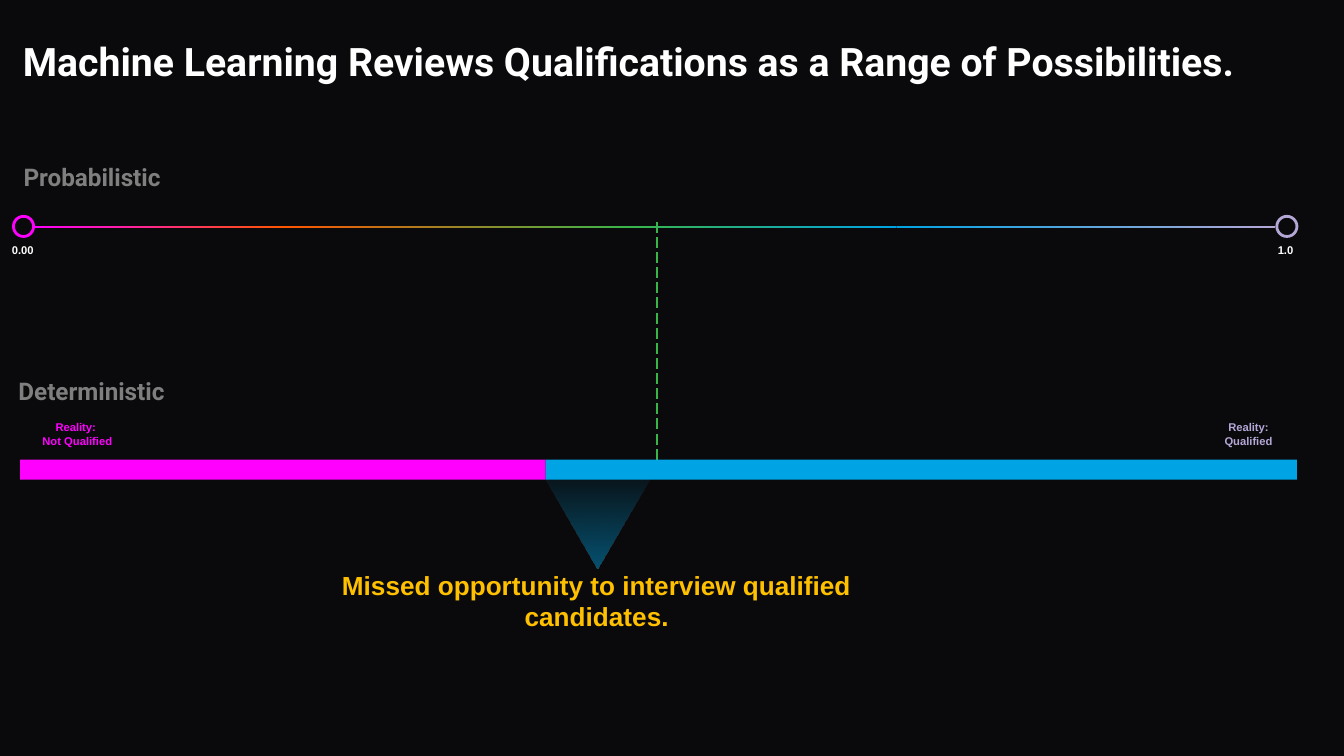
"""Build the slide on probabilistic and deterministic review of qualifications."""
from dataclasses import dataclass
from itertools import pairwise
from typing import Optional

import lxml.etree
import pptx
import pptx.dml.color
import pptx.enum.dml
import pptx.enum.shapes
import pptx.enum.text
import pptx.oxml.ns
import pptx.shapes.autoshape
import pptx.slide
import pptx.text.text
import pptx.util

Inches = pptx.util.Inches
Pt = pptx.util.Pt
RGB = pptx.dml.color.RGBColor
Kind = pptx.enum.shapes.MSO_SHAPE
Align = pptx.enum.text.PP_ALIGN
Anchor = pptx.enum.text.MSO_ANCHOR
qn = pptx.oxml.ns.qn

DARK = RGB(0x0A, 0x0A, 0x0C)
WHITE = RGB(0xFF, 0xFF, 0xFF)
PINK = RGB(0xFF, 0x00, 0xFF)
ORANGE = RGB(0xFF, 0x56, 0x00)
GREEN = RGB(0x39, 0xB5, 0x4A)
BLUE = RGB(0x00, 0xA4, 0xE4)
LILAC = RGB(0xB4, 0xA7, 0xD6)
GOLD = RGB(0xFF, 0xC0, 0x00)
GREY = RGB(0x7F, 0x7F, 0x7F)


@dataclass(frozen=True)
class Box:
    left: float
    top: float
    width: float
    height: float

    def emus(self) -> list[int]:
        return [Inches(n) for n in (self.left, self.top, self.width, self.height)]


@dataclass(frozen=True)
class Label:
    box: Box
    lines: tuple[str, ...]
    size: float
    color: RGB
    inset: float = 0
    font: str = "Arial"
    anchor: Anchor = Anchor.MIDDLE
    fill: Optional[RGB] = None


@dataclass(frozen=True)
class Stop:
    left: float
    color: RGB


LABELS = (
    Label(Box(9.26, 1.76, 0.61, 0.43), ("1.0",), 6, WHITE, 0.05, anchor=Anchor.TOP),
    Label(Box(-0.11, 1.76, 0.56, 0.43), ("0.00",), 6, WHITE, 0.05, anchor=Anchor.TOP),
    Label(Box(2.22, 4.32, 4.44, 0.3),
          ("Missed opportunity to interview qualified candidates.",), 14, GOLD, 0.1),
    Label(Box(0.2, 3.19, 0.75, 0.08), ("Reality: ", "Not Qualified"), 6, PINK),
    Label(Box(8.96, 3.19, 0.66, 0.08), ("Reality: Qualified",), 6, LILAC),
    Label(Box(-0.01, 2.81, 1.38, 0.19), ("Deterministic",), 13, GREY, 0.05, "Roboto", fill=DARK),
    Label(Box(0.02, 1.22, 1.33, 0.19), ("Probabilistic",), 13, GREY, 0.1, "Roboto", fill=DARK),
)
STOPS = (Stop(0.25, PINK), Stop(2.12, ORANGE), Stop(4.67, GREEN),
         Stop(6.67, BLUE), Stop(9.49, LILAC))
BARS = (Stop(0.15, PINK), Stop(4.06, BLUE), Stop(9.65, BLUE))
RINGS = (Stop(0.1, PINK), Stop(9.5, LILAC))


def add_run(para: pptx.text.text._Paragraph, text: str, size: float, font: str, color: RGB) -> None:
    run = para.add_run()
    run.text = text
    run.font.size = Pt(size)
    run.font.name = font
    run.font.bold = True
    run.font.color.rgb = color


def set_frame(frame: pptx.text.text.TextFrame, anchor: Anchor, side: float, edge: float) -> None:
    frame.word_wrap = True
    frame.auto_size = pptx.enum.text.MSO_AUTO_SIZE.NONE
    frame.vertical_anchor = anchor
    frame.margin_left = frame.margin_right = Inches(side)
    frame.margin_top = frame.margin_bottom = Inches(edge)


def add_title(slide: pptx.slide.Slide) -> None:
    title = slide.shapes.title
    title.left, title.top, title.width, title.height = Box(0.1, 0.15, 9.39, 0.65).emus()
    set_frame(title.text_frame, Anchor.MIDDLE, 0.07, 0.04)
    para = title.text_frame.paragraphs[0]
    para.alignment = Align.LEFT
    para.line_spacing = 0.9
    add_run(para, "Machine Learning Reviews Qualifications as a Range of Possibilities.",
            21, "Roboto", WHITE)


def add_label(slide: pptx.slide.Slide, label: Label) -> None:
    shape = slide.shapes.add_textbox(*label.box.emus())
    if label.fill is not None:
        shape.fill.solid()
        shape.fill.fore_color.rgb = label.fill
    frame = shape.text_frame
    set_frame(frame, label.anchor, label.inset, label.inset)
    for i, line in enumerate(label.lines):
        para = frame.add_paragraph() if i else frame.paragraphs[0]
        para.alignment = Align.CENTER
        add_run(para, line, label.size, label.font, label.color)


def add_form(slide: pptx.slide.Slide, kind: Kind, box: Box, *colors: RGB,
             angle: float = 0) -> pptx.shapes.autoshape.Shape:
    shape = slide.shapes.add_shape(kind, *box.emus())
    shape.shadow.inherit = False
    shape.line.fill.background()
    if len(colors) == 1:
        shape.fill.solid()
        shape.fill.fore_color.rgb = colors[0]
    else:
        shape.fill.gradient()
        shape.fill.gradient_angle = angle
        for stop, color in zip(shape.fill.gradient_stops, colors):
            stop.color.rgb = color
    return shape


def add_wedge(slide: pptx.slide.Slide) -> None:
    wedge = add_form(slide, Kind.ISOSCELES_TRIANGLE, Box(3.99, 3.45, 0.91, 0.78),
                     BLUE, BLUE, angle=90)
    wedge.rotation = 180
    for color, alpha in zip(wedge._element.spPr.iter(qn("a:srgbClr")), (0, 47)):
        lxml.etree.SubElement(color, qn("a:alpha")).set("val", str(alpha * 1000))


def add_guide(slide: pptx.slide.Slide) -> None:
    line = slide.shapes.add_connector(
        pptx.enum.shapes.MSO_CONNECTOR.STRAIGHT,
        Inches(4.89), Inches(1.65), Inches(4.89), Inches(3.53))
    line.line.color.rgb = GREEN
    line.line.width = Pt(0.75)
    line.line.dash_style = pptx.enum.dml.MSO_LINE.LONG_DASH
    lxml.etree.SubElement(line._element.spPr, qn("a:effectLst"))


def main() -> None:
    deck = pptx.Presentation()
    deck.slide_width = Inches(10)
    deck.slide_height = deck.slide_width * 9 // 16
    slide = deck.slides.add_slide(deck.slide_layouts[5])
    slide.background.fill.solid()
    slide.background.fill.fore_color.rgb = DARK
    add_title(slide)
    add_guide(slide)
    add_wedge(slide)
    for ring in RINGS:
        shape = add_form(slide, Kind.OVAL, Box(ring.left, 1.61, 0.15, 0.15), DARK)
        shape.line.color.rgb = ring.color
        shape.line.width = Pt(1.5)
    for a, b in pairwise(STOPS):
        add_form(slide, Kind.RECTANGLE, Box(a.left, 1.68, b.left - a.left, 0.02), a.color, b.color)
    for a, b in pairwise(BARS):
        add_form(slide, Kind.RECTANGLE, Box(a.left, 3.42, b.left - a.left, 0.15), a.color)
    for label in LABELS:
        add_label(slide, label)
    deck.save("out.pptx")


if __name__ == "__main__":
    main()
